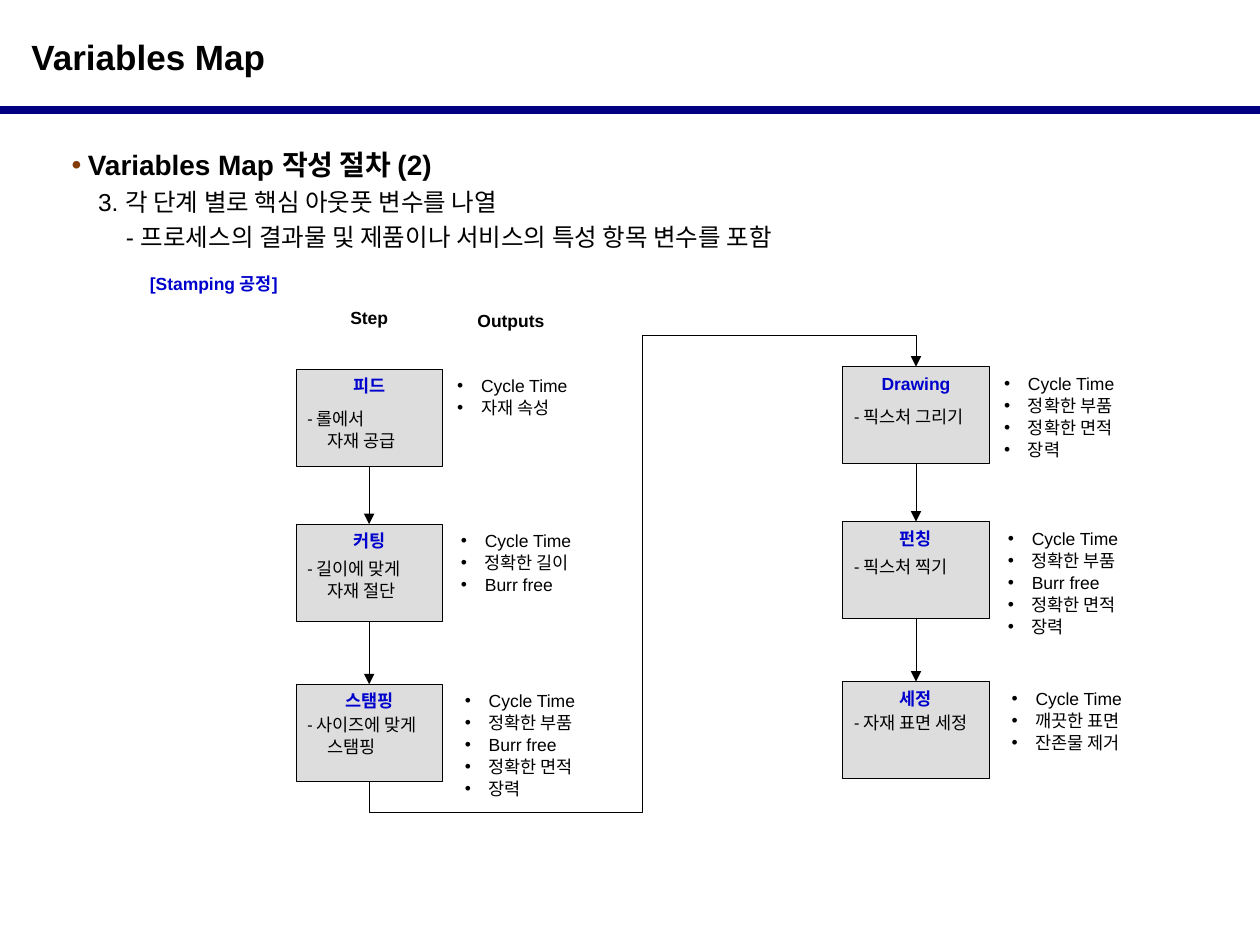
from lxml import etree
from pptx import Presentation, util as u
from pptx.dml.color import RGBColor
from pptx.enum import shapes, text
from pptx.oxml.ns import qn

WIDTH, HEIGHT = 10, 7.5
BLACK, BLUE, NAVY, GREY, BROWN = "000000", "0000CC", "000080", "DDDDDD", "843C0B"
BOX_WIDTH, BOX_HEIGHT = 1.16, 0.77
COLUMNS = [(2.35, 0), (6.69, -0.02)]
ROWS = [(2.93, 0.31), (4.16, 0.27), (5.43, 0.24)]
DETOUR = 0.25

HEADING = {"size": 10, "bold": True}
BLUE_HEADING = {**HEADING, "color": BLUE}
DETAIL = {"size": 10, "name": "Calibri"}
CENTER = {"alignment": text.PP_ALIGN.CENTER}
BODY = {"alignment": text.PP_ALIGN.JUSTIFY, "line_spacing": 1.2}

OUTLINE = [
    ("Variables Map 작성 절차 (2)", 0.13, {"size": 16, "bold": True}),
    ("3. 각 단계 별로 핵심 아웃풋 변수를 나열", 0.21, {"size": 14}),
    ("- 프로세스의 결과물 및 제품이나 서비스의 특성 항목 변수를 포함", 0.43, {"size": 14}),
]
LABELS = [
    ("[Stamping 공정]", 1.08, 2.11, 2.04, BLUE_HEADING, {}),
    ("Step", 2.51, 2.38, 0.84, HEADING, CENTER),
    ("Outputs", 3.68, 2.4, 0.84, HEADING, {}),
]
STEPS = [
    [
        ("피드", ["- 롤에서", "자재 공급"], ["Cycle Time", "자재 속성"]),
        ("커팅", ["- 길이에 맞게", "자재 절단"], ["Cycle Time", "정확한 길이", "Burr free"]),
        ("스탬핑", ["- 사이즈에 맞게", "스탬핑"],
         ["Cycle Time", "정확한 부품", "Burr free", "정확한 면적", "장력"]),
    ],
    [
        ("Drawing", ["- 픽스처 그리기"], ["Cycle Time", "정확한 부품", "정확한 면적", "장력"]),
        ("펀칭", ["- 픽스처 찍기"],
         ["Cycle Time", "정확한 부품", "Burr free", "정확한 면적", "장력"]),
        ("세정", ["- 자재 표면 세정"], ["Cycle Time", "깨끗한 표면", "잔존물 제거"]),
    ],
]


def rgb(value):
    return RGBColor.from_string(value)


def inches(*values):
    return [u.Inches(value) for value in values]


def set_all(target, values):
    for name, value in values.items():
        setattr(target, name, value)


def write(paragraph, words, style, layout=None):
    run = paragraph.add_run()
    run.text = words
    values = {"name": "Arial", "bold": False, **style}
    run.font.color.rgb = rgb(values.pop("color", BLACK))
    values["size"] = u.Pt(values["size"])
    set_all(run.font, values)
    set_all(paragraph, layout or {})


def indent(paragraph, margin, bullet=False, color=None):
    properties = paragraph._p.get_or_add_pPr()
    properties.set("marL", str(u.Inches(margin)))
    properties.set("indent", str(u.Inches(-margin) if bullet else 0))
    if bullet:
        if color:
            holder = etree.SubElement(properties, qn("a:buClr"))
            etree.SubElement(holder, qn("a:srgbClr"), val=color)
        etree.SubElement(properties, qn("a:buFont"), typeface="Arial")
        etree.SubElement(properties, qn("a:buChar"), char="•")


def text_frame(slide, left, top, width, height, side=0.1, end=0.05):
    frame = slide.shapes.add_textbox(*inches(left, top, width, height)).text_frame
    horizontal, vertical = inches(side, end)
    set_all(frame, {"word_wrap": True, "margin_left": horizontal, "margin_right": horizontal,
                    "margin_top": vertical, "margin_bottom": vertical})
    return frame


def paragraphs(frame, lines):
    for index, line in enumerate(lines):
        paragraph = frame.add_paragraph() if index else frame.paragraphs[0]
        yield index, paragraph, line


def add_line(slide, kind, start, end, color=BLACK, width=0.5, arrow=True):
    connector = slide.shapes.add_connector(kind, *inches(*start, *end))
    connector.line.color.rgb = rgb(color)
    connector.line.width = u.Pt(width)
    if arrow:
        etree.SubElement(connector.line._get_or_add_ln(), qn("a:tailEnd"), type="triangle")
    etree.SubElement(connector._element.spPr, qn("a:effectLst"))
    return connector


def add_step(slide, left, top, detail_offset, row, step):
    name, details, outputs = step
    box = slide.shapes.add_shape(shapes.MSO_SHAPE.RECTANGLE,
                                 *inches(left, top, BOX_WIDTH, BOX_HEIGHT))
    box.shadow.inherit = False
    box.fill.solid()
    box.fill.fore_color.rgb = rgb(GREY)
    box.line.color.rgb = rgb(BLACK)
    box.line.width = u.Pt(0.5)
    box.text_frame.vertical_anchor = text.MSO_ANCHOR.TOP
    write(box.text_frame.paragraphs[0], name, BLUE_HEADING, CENTER)

    frame = text_frame(slide, left + 0.09, top + detail_offset, 1.06, 0.35, 0, 0)
    for index, paragraph, line in paragraphs(frame, details):
        indent(paragraph, 0.16 * index)
        write(paragraph, line, DETAIL, {"space_before": u.Pt(0.5 * min(index, 1))})

    frame = text_frame(slide, left + 1.18 + 0.03 * row, top, 1.25, 0.1 + 0.18 * len(outputs))
    for index, paragraph, line in paragraphs(frame, outputs):
        indent(paragraph, 0.19, bullet=True)
        write(paragraph, line, {"size": 10}, {"space_before": u.Pt(0.5 * min(index, 1))})
    return box


def add_return_path(slide, start, end):
    span, rise = end[0] - start[0], start[1] - end[1]
    left = (start[0] + end[0] - rise) / 2
    top = (start[1] + end[1] - span) / 2
    connector = add_line(slide, shapes.MSO_CONNECTOR.ELBOW, (left, top), (left + rise, top + span))
    transform = connector._element.spPr.find(qn("a:xfrm"))
    for name, value in {"rot": "5400000", "flipH": "1", "flipV": "1"}.items():
        transform.set(name, value)
    geometry = connector._element.spPr.find(qn("a:prstGeom"))
    geometry.set("prst", "bentConnector5")
    guides = geometry.find(qn("a:avLst"))
    if guides is None:
        guides = etree.SubElement(geometry, qn("a:avLst"))
    share = DETOUR / rise
    for number, value in enumerate((-share, 0.5, 1 + share), 1):
        etree.SubElement(guides, qn("a:gd"), name=f"adj{number}", fmla=f"val {round(value * 100000)}")


def main():
    presentation = Presentation()
    presentation.slide_width, presentation.slide_height = inches(WIDTH, HEIGHT)
    slide = presentation.slides.add_slide(presentation.slide_layouts[6])
    straight = shapes.MSO_CONNECTOR.STRAIGHT

    title = text_frame(slide, 0, 0.23, WIDTH, 0.44, side=0.25)
    write(title.paragraphs[0], "Variables Map", {"size": 20, "bold": True})
    add_line(slide, straight, (0, 0.87), (WIDTH, 0.87), NAVY, 4.5, arrow=False)

    frame = text_frame(slide, 0.47, 1.07, 9.06, 0.99)
    for index, paragraph, (words, margin, style) in paragraphs(frame, OUTLINE):
        indent(paragraph, margin, bullet=index == 0, color=BROWN)
        write(paragraph, words, style, BODY)

    for words, left, top, width, style, layout in LABELS:
        frame = text_frame(slide, left, top, width, 0.28, 0.11, 0.06)
        write(frame.paragraphs[0], words, style, layout)

    for (left, shift), steps in zip(COLUMNS, STEPS):
        boxes = [add_step(slide, left, top + shift, offset, row, step)
                 for row, ((top, offset), step) in enumerate(zip(ROWS, steps))]
        for upper, lower in zip(boxes, boxes[1:]):
            connector = add_line(slide, straight, (0, 0), (1, 1))
            connector.begin_connect(upper, 2)
            connector.end_connect(lower, 0)

    (first, _), (second, shift) = COLUMNS
    add_return_path(slide, (first + BOX_WIDTH / 2, ROWS[-1][0] + BOX_HEIGHT),
                    (second + BOX_WIDTH / 2, ROWS[0][0] + shift))
    presentation.save("out.pptx")


if __name__ == "__main__":
    main()
